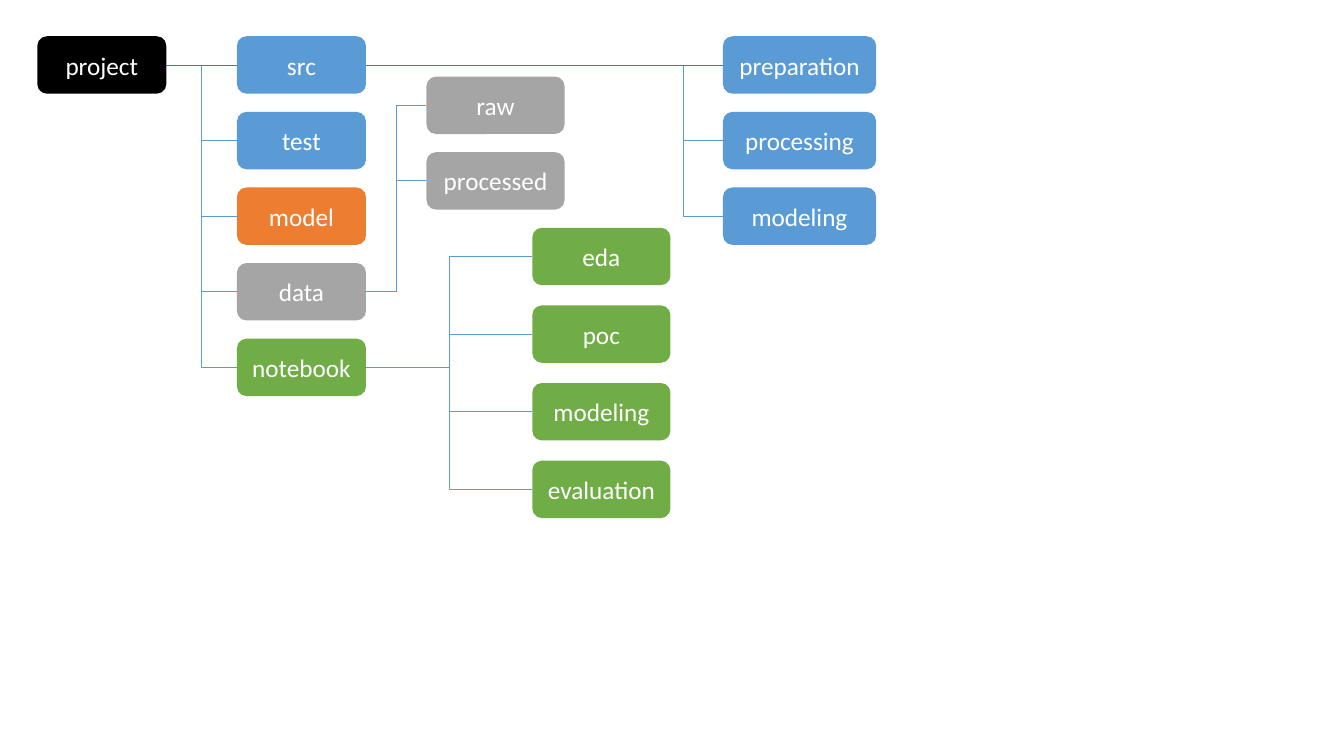
"""Draw the folder tree of a data science project as linked boxes."""
from dataclasses import dataclass

from lxml import etree
from pptx import Presentation
from pptx.dml.color import RGBColor
from pptx.enum import shapes, text
from pptx.oxml import ns
from pptx.shapes.autoshape import Shape
from pptx.shapes.connector import Connector
from pptx.shapes.shapetree import SlideShapes
from pptx.util import Emu, Pt

PX = 9144
SLIDE_WIDTH, SLIDE_HEIGHT = 1333, 750
BOX_HEIGHT = 57
LEFT_SIDE, RIGHT_SIDE = 1, 3

BLACK = RGBColor(0x00, 0x00, 0x00)
WHITE = RGBColor(0xFF, 0xFF, 0xFF)
BLUE = RGBColor(0x5B, 0x9B, 0xD5)
DARK_BLUE = RGBColor(0x44, 0x72, 0xC4)
ORANGE = RGBColor(0xED, 0x7D, 0x31)
GRAY = RGBColor(0xA5, 0xA5, 0xA5)
GREEN = RGBColor(0x70, 0xAD, 0x47)

FONT_FORMAT = {"name": "Calibri", "size": Pt(18)}
FRAME_FORMAT = {"vertical_anchor": text.MSO_ANCHOR.MIDDLE, "word_wrap": True}


@dataclass(frozen=True)
class Folder:
    """A named folder and its box colour."""

    name: str
    color: RGBColor


@dataclass(frozen=True)
class Branch:
    """A column of folders below one parent; bend is in thousandths of the run."""

    parent: str
    left: int
    top: int
    width: int
    pitch: int
    folders: tuple[Folder, ...]
    bend: int = 500


ROOT = Folder("project", BLACK)
BRANCHES = (
    Branch("project", 235, 36, 128, 75, (
        Folder("src", BLUE),
        Folder("test", BLUE),
        Folder("model", ORANGE),
        Folder("data", GRAY),
        Folder("notebook", GREEN),
    )),
    Branch("src", 717, 36, 152, 75, (
        Folder("preparation", BLUE),
        Folder("processing", BLUE),
        Folder("modeling", BLUE),
    ), bend=890),
    Branch("data", 423, 76, 137, 75, (
        Folder("raw", GRAY),
        Folder("processed", GRAY),
    )),
    Branch("notebook", 528, 226, 137, 77, (
        Folder("eda", GREEN),
        Folder("poc", GREEN),
        Folder("modeling", GREEN),
        Folder("evaluation", GREEN),
    )),
)


def px(length: int) -> Emu:
    """Turn a length in px into EMU."""
    return Emu(length * PX)


def apply_format(target: object, values: dict[str, object]) -> None:
    """Set every named attribute on the target."""
    for name, value in values.items():
        setattr(target, name, value)


def add_folder(canvas: SlideShapes, folder: Folder, left: int, top: int, width: int) -> Shape:
    """Draw one rounded folder box with its name."""
    box = canvas.add_shape(
        shapes.MSO_SHAPE.ROUNDED_RECTANGLE, px(left), px(top), px(width), px(BOX_HEIGHT)
    )
    box.shadow.inherit = False
    box.fill.solid()
    box.fill.fore_color.rgb = folder.color
    box.line.fill.background()
    apply_format(box.text_frame, FRAME_FORMAT)
    paragraph = box.text_frame.paragraphs[0]
    paragraph.alignment = text.PP_ALIGN.CENTER
    run = paragraph.add_run()
    run.text = folder.name
    apply_format(run.font, FONT_FORMAT)
    run.font.color.rgb = WHITE
    return box


def add_link(canvas: SlideShapes, parent: Shape, child: Shape, bend: int) -> Connector:
    """Join a parent to a child, straight when they are level and bent otherwise."""
    level = parent.top == child.top
    kind = shapes.MSO_CONNECTOR.STRAIGHT if level else shapes.MSO_CONNECTOR.ELBOW
    link = canvas.add_connector(kind, 0, 0, 0, 0)
    link.begin_connect(parent, RIGHT_SIDE)
    link.end_connect(child, LEFT_SIDE)
    link.line.color.rgb = DARK_BLUE if level else BLUE
    link.line.width = Pt(0.5)
    properties = link._element.spPr
    etree.SubElement(properties, ns.qn("a:effectLst"))
    if not level:
        guides = properties.find(f".//{ns.qn('a:avLst')}")
        etree.SubElement(guides, ns.qn("a:gd"), name="adj1", fmla=f"val {bend * 100}")
    return link


def add_branch(canvas: SlideShapes, branch: Branch, parent: Shape) -> dict[str, Shape]:
    """Draw a column of folders and its links, with the first link on top."""
    boxes = {
        folder.name: add_folder(
            canvas, folder, branch.left, branch.top + row * branch.pitch, branch.width
        )
        for row, folder in enumerate(branch.folders)
    }
    for box in reversed(boxes.values()):
        add_link(canvas, parent, box, branch.bend)
    return boxes


def main() -> None:
    """Build the slide and save it."""
    presentation = Presentation()
    presentation.slide_width = px(SLIDE_WIDTH)
    presentation.slide_height = px(SLIDE_HEIGHT)
    slide = presentation.slides.add_slide(presentation.slide_layouts[6])
    boxes = {ROOT.name: add_folder(slide.shapes, ROOT, 37, 36, 128)}
    for branch in BRANCHES:
        boxes.update(add_branch(slide.shapes, branch, boxes[branch.parent]))
    presentation.save("out.pptx")


if __name__ == "__main__":
    main()
